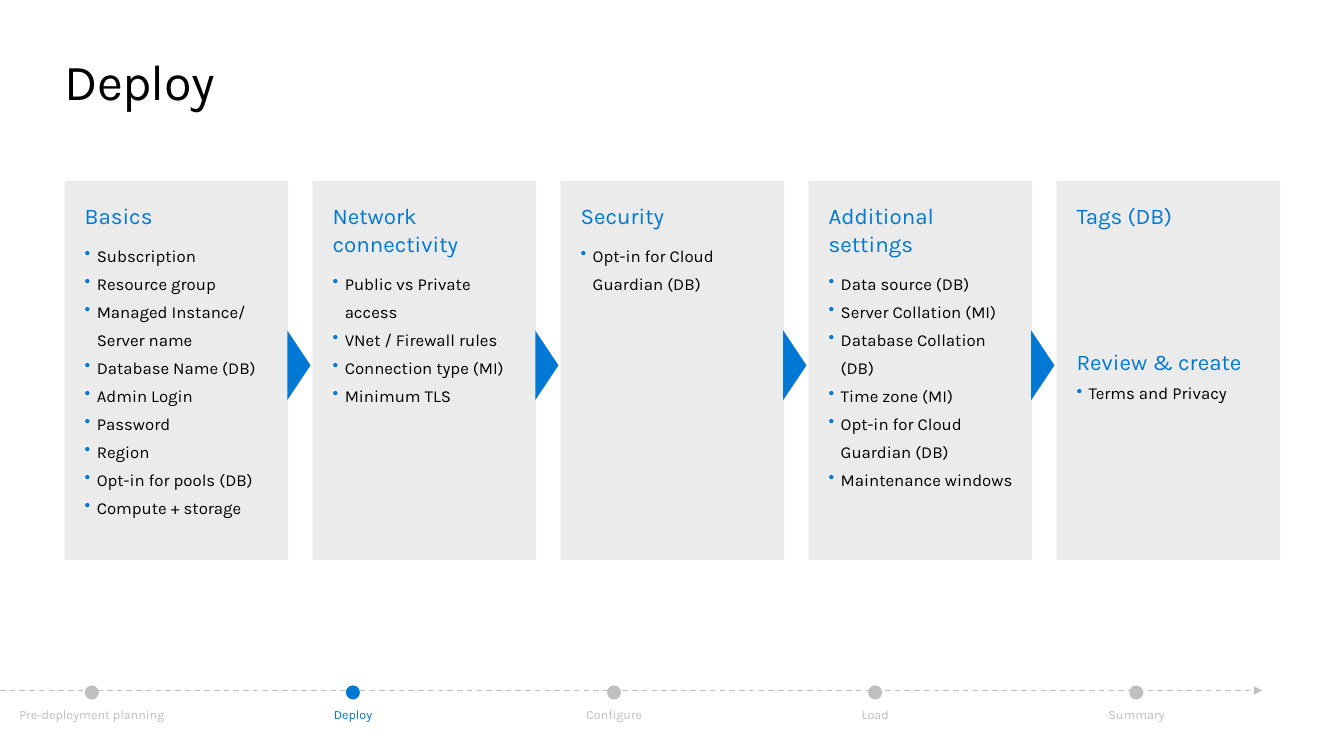
from dataclasses import dataclass
from typing import Optional

from lxml.etree import SubElement
from pptx import Presentation
from pptx.dml.color import RGBColor
from pptx.enum.dml import MSO_LINE
from pptx.enum.shapes import MSO_CONNECTOR, MSO_SHAPE
from pptx.enum.text import MSO_ANCHOR, PP_ALIGN
from pptx.oxml.ns import qn
from pptx.util import Inches, Pt

COLORS = {"card": "EBEBEB", "accent": "0078D4", "muted": "BFBFBF", "text": "000000"}
FONT = "Karla"
WIDTH, HEIGHT = Inches(13.33), Inches(7.5)
LEFT = 4.8
CARD_STEP, CARD_WIDTH, CARD_TOP, CARD_HEIGHT = 18.45, 16.65, 23.93, 50.13
ARROW_X, ARROW_Y, ARROW_WIDTH, ARROW_HEIGHT = 22.24, 48.33, 5.18, 3.07
STOP_X, STOP_Y, STOP_STEP = 6.83, 91.6, 19.43


@dataclass(frozen=True)
class Box:
    """A frame in percent of the slide's width and height."""
    x: float
    y: float
    w: float
    h: float

    def emu(self) -> tuple:
        return (across(self.x), down(self.y), across(self.w), down(self.h))


@dataclass(frozen=True)
class Section:
    """A heading with its bullets, set below an optional gap in points."""
    heading: str
    bullets: tuple = ()
    gap: Optional[float] = None
    spacing: Optional[float] = 20


@dataclass(frozen=True)
class Stop:
    """A stage on the timeline."""
    label: str
    width: float = 8.1
    color: str = "muted"


CARDS = (
    (Section("Basics", ("Subscription", "Resource group", "Managed Instance/ Server name",
                        "Database Name (DB)", "Admin Login", "Password", "Region",
                        "Opt-in for pools (DB)", "Compute + storage")),),
    (Section("Network connectivity", ("Public vs Private access", "VNet / Firewall rules",
                                      "Connection type (MI)", "Minimum TLS")),),
    (Section("Security", ("Opt-in for Cloud Guardian (DB)",)),),
    (Section("Additional settings", ("Data source (DB)", "Server Collation (MI)",
                                     "Database Collation (DB)", "Time zone (MI)",
                                     "Opt-in for Cloud Guardian (DB)",
                                     "Maintenance windows")),),
    (Section("Tags (DB)"),
     Section("Review & create", ("Terms and Privacy",), gap=78, spacing=None)),
)
STOPS = (
    Stop("Pre-deployment planning", width=14.25),
    Stop("Deploy", color="accent"),
    Stop("Configure"),
    Stop("Load"),
    Stop("Summary"),
)


def across(share: float) -> int:
    """Turn a percentage of the slide's width into a length."""
    return round(WIDTH * share / 100)


def down(share: float) -> int:
    """Turn a percentage of the slide's height into a length."""
    return round(HEIGHT * share / 100)


def rgb(name: str) -> RGBColor:
    """Look up a named colour."""
    return RGBColor.from_string(COLORS[name])


def add_bullet(p) -> None:
    """Give a paragraph a hanging coloured bullet."""
    pPr = p._p.get_or_add_pPr()
    pPr.set("marL", str(Inches(0.12)))
    pPr.set("indent", str(-Inches(0.12)))
    SubElement(SubElement(pPr, qn("a:buClr")), qn("a:srgbClr"), val=COLORS["accent"])
    SubElement(pPr, qn("a:buChar"), char="•")


def add_text(tf, text: str, *, size: float, color: str, align=PP_ALIGN.LEFT,
             spacing: Optional[float] = None, before: Optional[float] = None,
             after: Optional[float] = None, bullet: bool = False,
             tracking: Optional[int] = None) -> None:
    """Append a formatted paragraph to a text frame."""
    p = tf.paragraphs[0] if not tf.text else tf.add_paragraph()
    if bullet:
        add_bullet(p)
    p.alignment = align
    if spacing is not None:
        p.line_spacing = Pt(spacing)
    if before is not None:
        p.space_before = Pt(before)
    if after is not None:
        p.space_after = Pt(after)
    r = p.add_run()
    r.text = text
    r.font.name, r.font.size = FONT, Pt(size)
    r.font.color.rgb = rgb(color)
    if tracking is not None:
        r.font._element.set("spc", str(tracking))


def set_frame(tf, before: float = 0, after: float = 0) -> None:
    """Wrap a text frame from the top with leading and trailing insets in inches."""
    tf.word_wrap = True
    tf.vertical_anchor = MSO_ANCHOR.TOP
    tf.margin_left = tf.margin_top = Inches(before)
    tf.margin_right = tf.margin_bottom = Inches(after)


def add_label(s, box: Box, text: str, **style) -> None:
    """Place a text box without insets."""
    tf = s.shapes.add_textbox(*box.emu()).text_frame
    set_frame(tf)
    add_text(tf, text, **style)


def add_block(s, kind, box: Box, color: str):
    """Place a plain filled shape."""
    sp = s.shapes.add_shape(kind, *box.emu())
    sp.shadow.inherit = False
    sp.fill.solid()
    sp.fill.fore_color.rgb = rgb(color)
    sp.line.fill.background()
    return sp


def add_card(s, column: int, sections: tuple) -> None:
    """Draw one card of the process."""
    box = Box(LEFT + column * CARD_STEP, CARD_TOP, CARD_WIDTH, CARD_HEIGHT)
    tf = add_block(s, MSO_SHAPE.RECTANGLE, box, "card").text_frame
    set_frame(tf, 0.2, 0.1)
    for section in sections:
        add_text(tf, section.heading, size=16, color="accent", spacing=20,
                 before=section.gap, after=6)
        for bullet in section.bullets:
            add_text(tf, bullet, size=12, color="text", spacing=section.spacing, bullet=True)


def add_arrow(s, column: int) -> None:
    """Draw the arrow that follows a card."""
    box = Box(ARROW_X + column * CARD_STEP - ARROW_WIDTH / 2, ARROW_Y - ARROW_HEIGHT / 2,
              ARROW_WIDTH, ARROW_HEIGHT)
    add_block(s, MSO_SHAPE.ISOSCELES_TRIANGLE, box, "accent").rotation = 90


def add_axis(s) -> None:
    """Draw the dashed timeline with its arrowhead."""
    y = down(91.33)
    line = s.shapes.add_connector(MSO_CONNECTOR.STRAIGHT, 0, y, across(93.92), y)
    line.line.color.rgb = rgb("muted")
    line.line.width = Pt(1)
    line.line.dash_style = MSO_LINE.DASH
    SubElement(line.line._get_or_add_ln(), qn("a:tailEnd"), type="triangle")
    SubElement(line._element.spPr, qn("a:effectLst"))


def add_stop(s, column: int, stop: Stop) -> None:
    """Draw a timeline dot and its label."""
    x, w, h = STOP_X + column * STOP_STEP, 1.05, 1.87
    add_block(s, MSO_SHAPE.OVAL, Box(x - w / 2, STOP_Y - h / 2, w, h), stop.color)
    add_label(s, Box(x - stop.width / 2, 93.47, stop.width, 2), stop.label,
              size=9, color=stop.color, align=PP_ALIGN.CENTER)


def main() -> None:
    """Build the slide and save it."""
    prs = Presentation()
    prs.slide_width, prs.slide_height = WIDTH, HEIGHT
    s = prs.slides.add_slide(prs.slide_layouts[6])
    add_label(s, Box(LEFT, 6.67, 90.4, 8.13), "Deploy", size=36, color="text", tracking=-50)
    for column, sections in enumerate(CARDS):
        add_card(s, column, sections)
    add_axis(s)
    for column, stop in enumerate(STOPS):
        add_stop(s, column, stop)
    for column in range(len(CARDS) - 1):
        add_arrow(s, column)
    prs.save("out.pptx")


if __name__ == "__main__":
    main()
